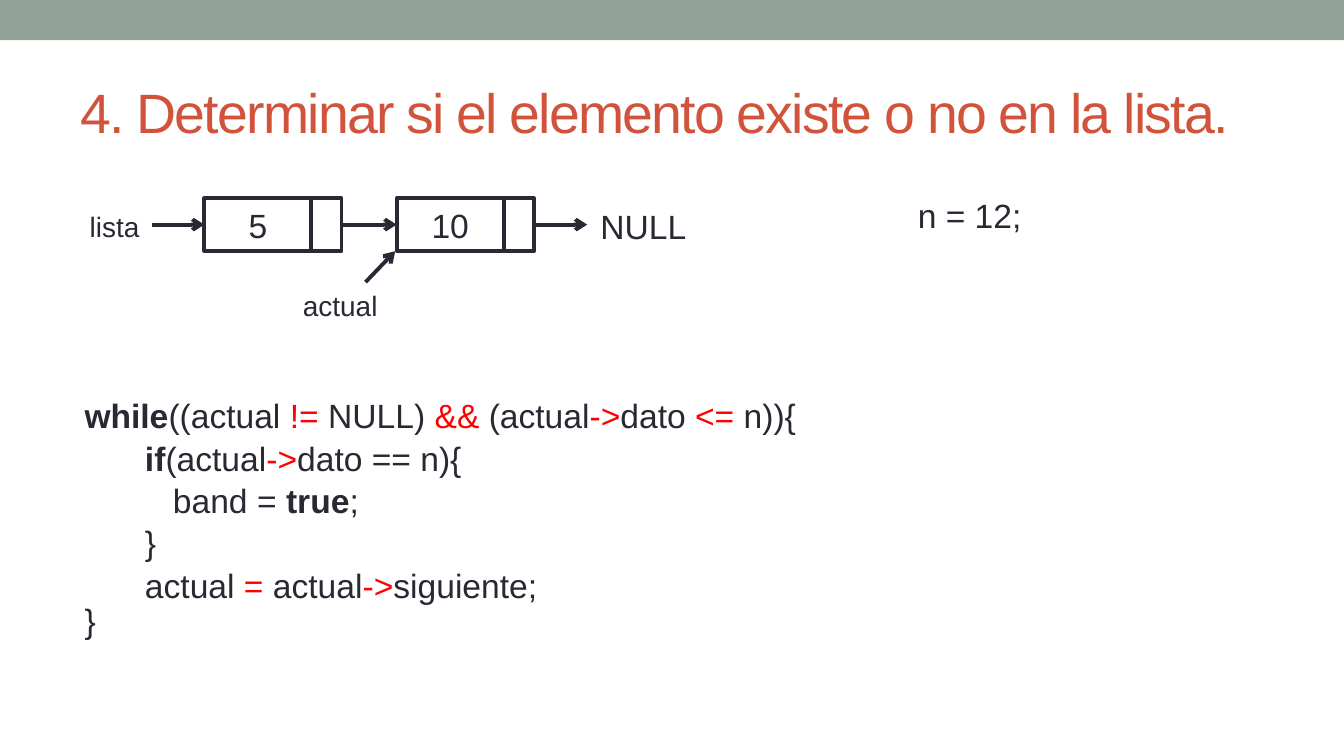
from lxml.etree import SubElement
from pptx import Presentation
from pptx.dml.color import RGBColor
from pptx.enum.shapes import MSO_CONNECTOR as Link, MSO_SHAPE as Shape
from pptx.enum.text import MSO_ANCHOR as Anchor, PP_ALIGN as Align
from pptx.oxml.ns import qn
from pptx.util import Pt

INK = "292934"
RED = "FF0000"
RUST = "D2533C"
SAGE = "93A299"
WHITE = "FFFFFF"
STROKE = 2.08
NODE_W, NODE_H, DATA_W = 73.5, 28.3, 57.3
NODE_Y = 106.2
MID_Y = NODE_Y + NODE_H / 2


def paint(item, color):
    item.rgb = RGBColor.from_string(color)


def add_run(para, text, size=18, color=INK, bold=False):
    run = para.add_run()
    run.text = text
    font = run.font
    font.name, font.size, font.bold = "Arial", Pt(size), bold
    paint(font.color, color)
    return run


def add_box(slide, x, y, w, h):
    box = slide.shapes.add_textbox(Pt(x), Pt(y), Pt(w), Pt(h))
    box.text_frame.word_wrap = True
    return box.text_frame


def add_label(slide, text, x, y, w, h=28.8, size=18, align=Align.LEFT):
    para = add_box(slide, x, y, w, h).paragraphs[0]
    para.alignment = align
    add_run(para, text, size)


def add_title(slide, text):
    frame = add_box(slide, 36, 30.6, 648, 58.3)
    frame.vertical_anchor = Anchor.MIDDLE
    run = add_run(frame.paragraphs[0], text, 29.7, RUST)
    run.font._element.set("spc", "-100")


def add_code(slide, x, y, w, h, lines, gap):
    frame = add_box(slide, x, y, w, h)
    for num, line in enumerate(lines):
        para = frame.add_paragraph() if num else frame.paragraphs[0]
        if num:
            para.space_before = Pt(gap)
        for text, style in line:
            add_run(para, text, color=RED if style == "red" else INK,
                    bold=style == "bold")


def add_rect(slide, x, y, w, h, fill, line=None):
    rect = slide.shapes.add_shape(Shape.RECTANGLE, Pt(x), Pt(y), Pt(w), Pt(h))
    rect.shadow.inherit = False
    rect.fill.solid()
    paint(rect.fill.fore_color, fill)
    if line:
        paint(rect.line.color, line)
        rect.line.width = Pt(STROKE)
    else:
        rect.line.fill.background()
    return rect


def add_line(slide, x1, y1, x2, y2, arrow=False):
    line = slide.shapes.add_connector(
        Link.STRAIGHT, Pt(x1), Pt(y1), Pt(x2), Pt(y2))
    paint(line.line.color, INK)
    line.line.width = Pt(STROKE)
    if arrow:
        SubElement(line.line._get_or_add_ln(), qn("a:tailEnd"), type="arrow")
    SubElement(line._element.spPr, qn("a:effectLst"))
    return line


def add_node(slide, text, x):
    rect = add_rect(slide, x, NODE_Y, NODE_W, NODE_H, WHITE, INK)
    add_line(slide, x + DATA_W, NODE_Y, x + DATA_W, NODE_Y + NODE_H)
    add_label(slide, text, x, NODE_Y, DATA_W, align=Align.CENTER)
    return rect


def add_list(slide):
    one, two = 109.5, 212.5
    first = add_node(slide, "5", one)
    last = add_node(slide, "10", two)
    head = add_line(slide, 81.4, MID_Y, one, MID_Y, True)
    head.end_connect(first, 1)
    step = add_line(slide, one + NODE_W, MID_Y, two, MID_Y, True)
    step.begin_connect(first, 3)
    step.end_connect(last, 1)
    tail = add_line(slide, two + NODE_W, MID_Y, 314.6, MID_Y, True)
    tail.begin_connect(last, 3)
    add_line(slide, 195.8, 151.2, 211.7, 134.6, True)
    add_label(slide, "lista", 41, 108.7, 52.6, 25.2, 15)
    add_label(slide, "actual", 155.2, 151.2, 62.6, 25.2, 15)
    add_label(slide, "NULL", 314.6, 106.6, 62.6)


def main():
    deck = Presentation()
    deck.slide_width, deck.slide_height = Pt(720), Pt(405)
    slide = deck.slides.add_slide(deck.slide_layouts[6])
    add_rect(slide, 0, 0, 720, 21.6, SAGE)
    add_title(slide, "4. Determinar si el elemento existe o no en la lista.")
    add_list(slide)
    add_label(slide, "n = 12;", 484.6, 100.8, 79.2)
    add_code(slide, 38.2, 208.1, 405.4, 138.2, [
        [("while", "bold"), ("((actual ", ""), ("!=", "red"), (" NULL) ", ""),
         ("&&", "red"), (" (actual", ""), ("->", "red"), ("dato ", ""),
         ("<=", "red"), (" n)){", "")],
        [("}", "")],
    ], 88)
    add_code(slide, 70.6, 231.1, 345.6, 94.3, [
        [("if", "bold"), ("(actual", ""), ("->", "red"), ("dato == n){", "")],
        [("   band = ", ""), ("true", "bold"), (";", "")],
        [("}", "")],
        [("actual ", ""), ("=", "red"), (" actual", ""), ("->", "red"),
         ("siguiente;", "")],
    ], 1)
    deck.save("out.pptx")


if __name__ == "__main__":
    main()
